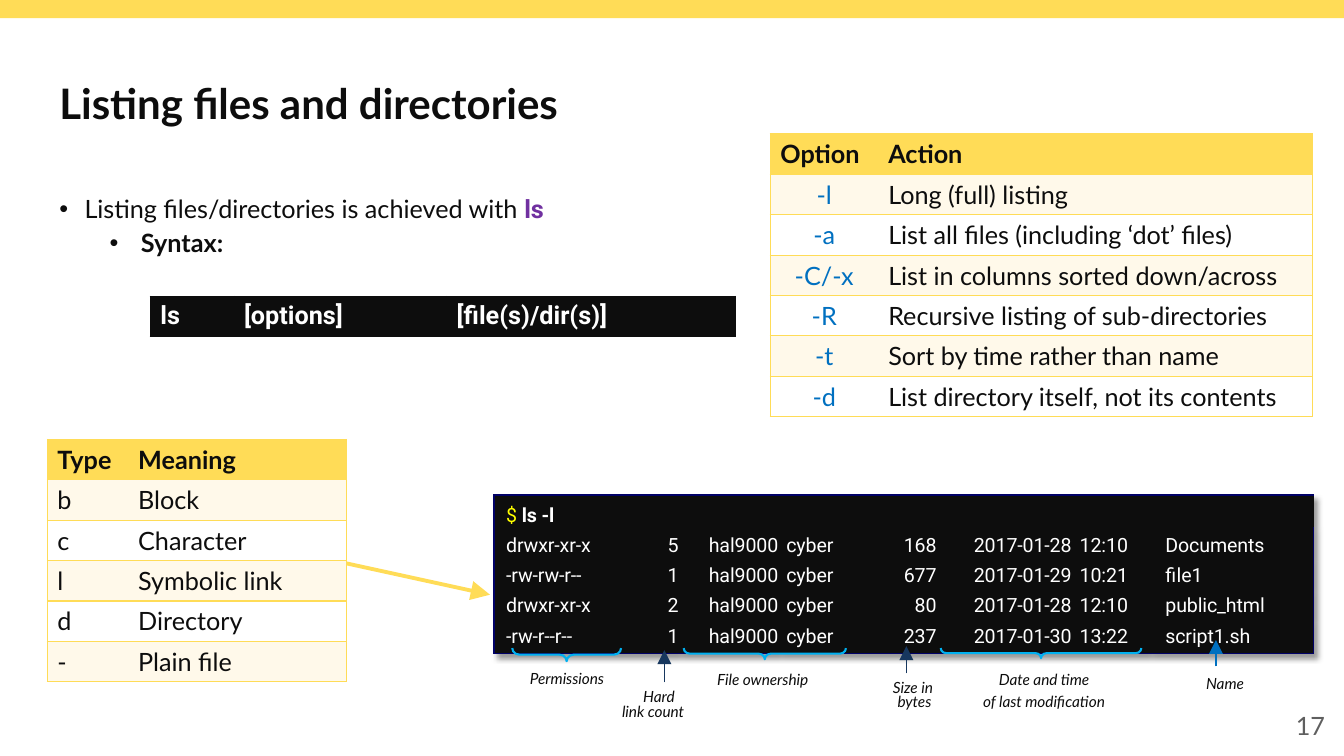
from lxml import etree
from pptx import Presentation
from pptx.dml.color import RGBColor
from pptx.enum.shapes import MSO_CONNECTOR, MSO_SHAPE
from pptx.enum.text import MSO_ANCHOR, PP_ALIGN
from pptx.oxml import parse_xml
from pptx.oxml.ns import nsdecls, qn
from pptx.util import Inches, Pt

LEFT, MID, RIGHT = PP_ALIGN.LEFT, PP_ALIGN.CENTER, PP_ALIGN.RIGHT
TOP, CENTRE = MSO_ANCHOR.TOP, MSO_ANCHOR.MIDDLE
STRAIGHT = MSO_CONNECTOR.STRAIGHT
RECT, BRACE = MSO_SHAPE.RECTANGLE, MSO_SHAPE.RIGHT_BRACE
INK, GOLD, CREAM, WHITE = "0D0D0D", "FFDC57", "FFF9EA", "FFFFFF"
BLUE, SKY, NAVY, STEEL = "0070C0", "00B0F0", "000066", "17375E"
PLAIN = "{2D5ABB26-0587-4C30-8999-92F81FD0307C}"

BODY = {"size": 18, "name": "Lato", "color": INK}
BOLD = {**BODY, "bold": True}
CODE = {**BOLD, "name": "Roboto", "color": WHITE}
TERM = {"size": 14, "name": "Roboto", "color": WHITE, "spc": -10}
NOTE = {"size": 11, "name": "Lato", "color": INK, "italic": True, "spc": -5}

OPTIONS = [
    ("Option", "Action"),
    ("-l", "Long (full) listing"),
    ("-a", "List all files (including ‘dot’ files)"),
    ("-C/-x", "List in columns sorted down/across"),
    ("-R", "Recursive listing of sub-directories"),
    ("-t", "Sort by time rather than name"),
    ("-d", "List directory itself, not its contents"),
]
TYPES = [
    ("Type", "Meaning"),
    ("b", "Block"),
    ("c", "Character"),
    ("l", "Symbolic link"),
    ("d", "Directory"),
    ("-", "Plain file"),
]
SYNTAX = ["ls", "[options]", "[file(s)/dir(s)]"]
FILES = [
    ("drwxr-xr-x", "5", "hal9000", "cyber", "168", "2017-01-28", "12:10", "Documents"),
    ("-rw-rw-r--", "1", "hal9000", "cyber", "677", "2017-01-29", "10:21", "file1"),
    ("drwxr-xr-x", "2", "hal9000", "cyber", "80", "2017-01-28", "12:10", "public_html"),
    ("-rw-r--r--", "1", "hal9000", "cyber", "237", "2017-01-30", "13:22", "script1.sh"),
]
# width, alignment, left indent
FIELDS = [(1.42, LEFT, 0.12), (0.41, RIGHT, 0), (0.99, RIGHT, 0), (0.87, LEFT, 0.08),
          (0.7, RIGHT, 0), (1.34, RIGHT, 0), (0.76, LEFT, 0.08), (1.64, LEFT, 0.17)]
# text, box, top inset, paragraph layout
LABELS = [
    ("Permissions", (5.16, 6.63, 0.93, 0.2), 0.01, {"align": MID}),
    ("Hard\vlink count", (6.16, 6.79, 0.79, 0.36), 0.06,
     {"left": 0.01, "first": 0.21, "line": 0.8}),
    ("File ownership", (7, 6.64, 1.13, 0.2), 0.01, {"align": MID}),
    ("Size in\vbytes", (8.79, 6.7, 0.52, 0.36), 0.06,
     {"align": MID, "left": 0.04, "first": -0.03, "line": 0.8}),
    ("Date and time\vof last modification", (9.6, 6.6, 1.51, 0.44), 0.01,
     {"align": MID, "line": Pt(15.8)}),
    ("Name", (11.76, 6.68, 0.78, 0.2), 0.01, {"align": MID}),
]
BRACES = [(5.08, 6.43, 1.08, 0.13), (6.78, 6.43, 1.61, 0.11), (9.33, 6.43, 1.99, 0.1)]
# start, end, colour, width
ARROWS = [
    ((6.59, 6.77), (6.59, 6.45), STEEL, 1),
    ((8.99, 6.68), (8.99, 6.41), STEEL, 1),
    ((12.06, 6.61), (12.06, 6.35), BLUE, 1),
    ((3.44, 5.59), (4.86, 5.9), GOLD, 2.75),
]

deck = Presentation()
deck.slide_width, deck.slide_height = Inches(13.33), Inches(7.5)
slide = deck.slides.add_slide(deck.slide_layouts[6])
shapes = slide.shapes


def tint(code):
    return RGBColor.from_string(code)


def inch(nums):
    return [Inches(n) for n in nums]


def write(para, runs, align=LEFT, left=0, first=0, line=None, bullet=False, before=None):
    """Fill a paragraph with (text, format) runs."""
    props = para._p.get_or_add_pPr()
    props.set("marL", str(Inches(left)))
    props.set("indent", str(Inches(first)))
    if bullet:
        etree.SubElement(props, qn("a:buFont")).set("typeface", "Arial")
        etree.SubElement(props, qn("a:buChar")).set("char", "•")
    for key, val in {"alignment": align, "line_spacing": line, "space_before": before}.items():
        if val is not None:
            setattr(para, key, val)
    for text, style in runs:
        for i, part in enumerate(text.split("\v")):
            if i:
                para.add_line_break()
            run = para.add_run()
            run.text = part
            for key, val in style.items():
                if key == "color":
                    run.font.color.rgb = tint(val)
                elif key == "spc":
                    run.font._element.set("spc", str(val))
                else:
                    setattr(run.font, key, Pt(val) if key == "size" else val)


def box(at, anchor=TOP, inset=(0.1, 0.05, 0.1, 0.05)):
    frame = shapes.add_textbox(*inch(at)).text_frame
    frame.word_wrap = True
    frame.vertical_anchor = anchor
    for side, gap in zip(("left", "top", "right", "bottom"), inset):
        setattr(frame, "margin_" + side, Inches(gap))
    return frame


def grid(left, top, cols, rows):
    table = shapes.add_table(len(rows), len(cols), *inch((left, top, sum(cols), sum(rows)))).table
    props = table._tbl.tblPr
    props.find(qn("a:tableStyleId")).text = PLAIN
    table.first_row = table.horz_banding = False
    for parts, sizes, key in ((table.columns, cols, "width"), (table.rows, rows, "height")):
        for part, size in zip(parts, sizes):
            setattr(part, key, Inches(size))
    return table


def paint(cell, fill, sides, edge):
    """Fill a cell and draw 1 pt borders on the sides named in LRTB order."""
    cell.fill.solid()
    cell.fill.fore_color.rgb = tint(fill)
    props = cell._tc.get_or_add_tcPr()
    for i, side in enumerate(sides):
        props.insert(i, parse_xml(
            f'<a:ln{side} {nsdecls("a")} w="12700"><a:solidFill><a:srgbClr val="{edge}"/>'
            f'</a:solidFill></a:ln{side}>'))


def list_table(left, top, cols, data, key_style, key_align):
    table = grid(left, top, cols, [0.4] * len(data))
    for r, row in enumerate(data):
        fill = GOLD if r == 0 else CREAM if r % 2 else WHITE
        for c, text in enumerate(row):
            key = r > 0 and c == 0
            style = BOLD if r == 0 else key_style if key else BODY
            cell = table.cell(r, c)
            paint(cell, fill, "RTB" if c else "LTB", GOLD)
            write(cell.text_frame.paragraphs[0], [(text, style)], key_align if key else LEFT)


def terminal():
    table = grid(4.9, 4.91, [f[0] for f in FIELDS], [0.32] + [0.3] * 3 + [0.35])
    table._tbl.tblPr.insert(0, parse_xml(
        f'<a:effectLst {nsdecls("a")}><a:outerShdw blurRad="50800" dist="38100" dir="2700000">'
        '<a:srgbClr val="000000"><a:alpha val="40000"/></a:srgbClr></a:outerShdw></a:effectLst>'))
    last = len(FIELDS) - 1
    for r in range(len(FILES) + 1):
        for c, (_, align, left) in enumerate(FIELDS):
            cell = table.cell(r, c)
            cell.margin_left = cell.margin_right = cell.margin_top = cell.margin_bottom = 0
            edges = {"L": c == 0, "R": c == last, "T": r == 0, "B": r == len(FILES)}
            paint(cell, INK, [s for s in edges if edges[s]], NAVY)
            if r:
                write(cell.text_frame.paragraphs[0], [(FILES[r - 1][c], TERM)],
                      align, left, line=Pt(21.3))
    table.cell(0, 1).merge(table.cell(0, last))
    prompt = [("$ ", {**TERM, "color": "FFFF00"}), ("ls -l", {**TERM, "bold": True})]
    write(table.cell(0, 0).text_frame.paragraphs[0], prompt, left=0.12, line=Pt(23.2))


def arrow(start, end, color, width):
    link = shapes.add_connector(STRAIGHT, *inch(start + end))
    link.line.color.rgb = tint(color)
    link.line.width = Pt(width)
    tail = etree.SubElement(link.line._get_or_add_ln(), qn("a:tailEnd"))
    for key, val in {"type": "triangle", "w": "lg", "len": "lg"}.items():
        tail.set(key, val)
    etree.SubElement(link._element.spPr, qn("a:effectLst"))


def brace(left, top, wide, high):
    """Draw a brace that points down, as a right brace turned by 90 degrees."""
    x, y = left + (wide - high) / 2, top + (high - wide) / 2
    mark = shapes.add_shape(BRACE, *inch((x, y, high, wide)))
    mark.rotation = 90
    mark.adjustments[0] = 1.1 * 0.5
    mark.shadow.inherit = False
    mark.fill.background()
    mark.line.color.rgb = tint(SKY)
    mark.line.width = Pt(1.5)


band = shapes.add_shape(RECT, *inch((0, 0, 13.33, 0.18)))
band.shadow.inherit = False
band.fill.solid()
band.fill.fore_color.rgb = tint(GOLD)
band.line.fill.background()

title = box((0.49, 0.55, 12.36, 0.94), CENTRE)
write(title.paragraphs[0], [("Listing files and directories", {**BOLD, "size": 30})])
body = box((0.49, 1.9, 12.36, 4.76))
intro = [("Listing files/directories is achieved with ", BODY), ("ls", {**CODE, "color": "7030A0"})]
write(body.paragraphs[0], intro, left=0.25, first=-0.25, line=0.9, bullet=True)
write(body.add_paragraph(), [("Syntax:", BOLD)], left=0.81, first=-0.31, line=0.9,
      bullet=True, before=Pt(5))
number = box((10.24, 7, 3, 0.4), CENTRE)
write(number.paragraphs[0], [("17", {**BODY, "color": "5F5F5F"})], RIGHT)

usage = grid(1.49, 2.94, [0.83, 2.11, 2.86], [0.4])
for c, text in enumerate(SYNTAX):
    paint(usage.cell(0, c), INK, "LRTB", INK)
    write(usage.cell(0, c).text_frame.paragraphs[0], [(text, CODE)])

terminal()
for text, at, gap, layout in LABELS:
    write(box(at, TOP, (0, gap, 0, 0)).paragraphs[0], [(text, NOTE)], **layout)
for at in BRACES:
    brace(*at)
for item in ARROWS:
    arrow(*item)
list_table(7.64, 1.33, [1.07, 4.31], OPTIONS, {**BODY, "color": BLUE}, MID)
list_table(0.47, 4.36, [0.8, 2.17], TYPES, BODY, LEFT)

deck.save("out.pptx")
